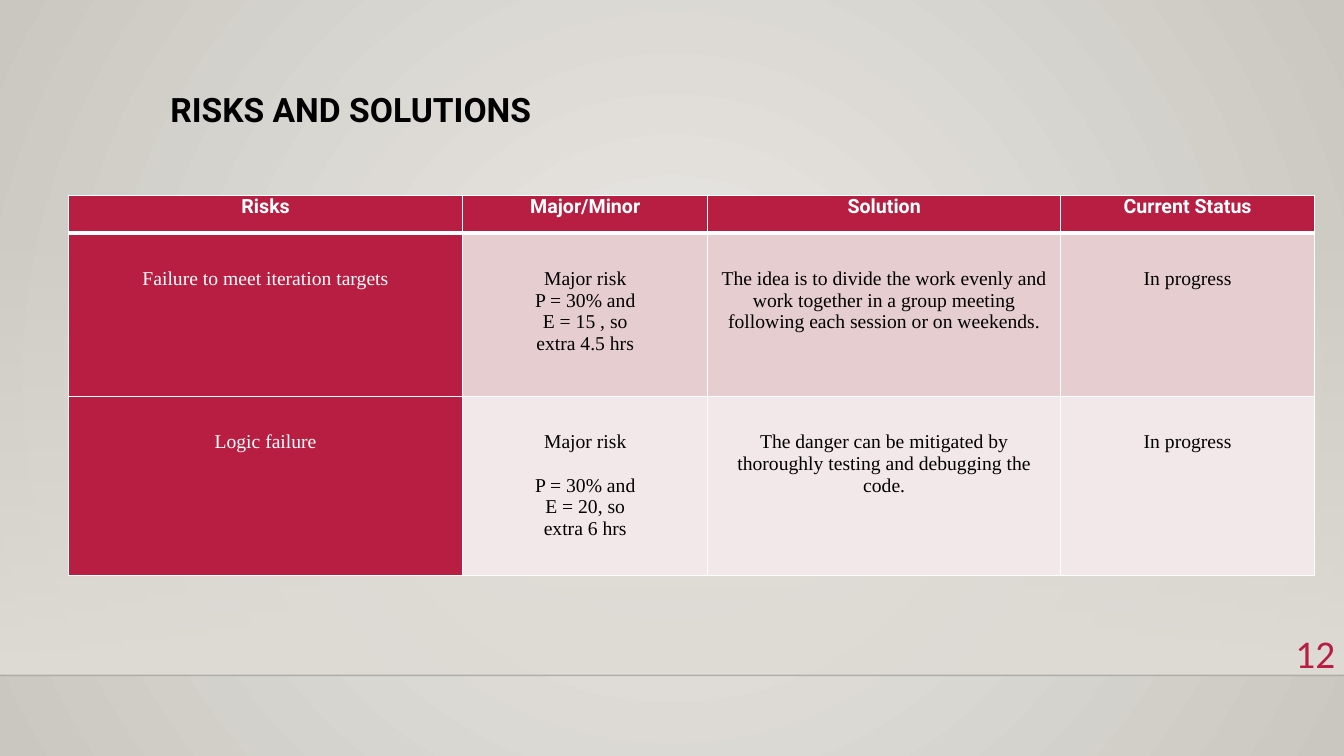
from lxml import etree
from pptx import Presentation
from pptx.dml.color import RGBColor
from pptx.enum import shapes, text
from pptx.oxml import ns
from pptx.util import Inches, Pt

TITLE = "RISKS AND SOLUTIONS"
PAGE = "12"
HEADER = ["Risks", "Major/Minor", "Solution", "Current Status"]
RISKS = [
    ["Failure to meet iteration targets",
     "Major risk\nP = 30% and\nE = 15 , so\nextra 4.5 hrs",
     "The idea is to divide the work evenly and work together in a group meeting "
     "following each session or on weekends.",
     "In progress"],
    ["Logic failure",
     "Major risk\nP = 30% and\nE = 20, so\nextra 6 hrs",
     "The danger can be mitigated by thoroughly testing and debugging the code.",
     "In progress"],
]
COLS = [3.91, 2.43, 3.5, 2.52]
ROWS = [0.37, 1.62, 1.78]
RISK_GAPS = [0, 15.5]

CRIMSON = RGBColor(0xB7, 0x1E, 0x42)
PINK = RGBColor(0xE6, 0xCD, 0xCF)
PALE = RGBColor(0xF3, 0xE8, 0xE9)
WHITE = RGBColor(0xFF, 0xFF, 0xFF)
BLACK = RGBColor(0x00, 0x00, 0x00)
RULE = RGBColor(0x00, 0x00, 0x01)
LIGHT = RGBColor(0xEC, 0xEA, 0xE7)
DARK = RGBColor(0xCA, 0xC7, 0xC1)
SAND = RGBColor(0xDF, 0xDB, 0xD5)


def sub(parent, tag, **attrs):
    """Append an XML child with the given attributes."""
    return etree.SubElement(parent, ns.qn(tag), {k: str(v) for k, v in attrs.items()})


def write(tf, content, font="Times New Roman", size=14, color=BLACK, bold=False,
          align=text.PP_ALIGN.CENTER, spacing=None, gap=0):
    """Write one paragraph per line, with an optional gap after the first."""
    tf.word_wrap = True
    for i, line in enumerate(content.split("\n")):
        p = tf.add_paragraph() if i else tf.paragraphs[0]
        p.alignment = align
        p.line_spacing = spacing
        if i == 1 and gap:
            p.space_before = Pt(gap)
        r = p.add_run()
        r.text = line
        r.font.name, r.font.size, r.font.bold = font, Pt(size), bold
        r.font.color.rgb = color


def gradient(fill, *colors):
    """Fill with a gradient of two colours."""
    fill.gradient()
    for stop, color in zip(fill.gradient_stops, colors):
        stop.color.rgb = color


def set_borders(cell, top, bottom):
    """Draw white cell borders with the given top and bottom widths."""
    tc_pr = cell._tc.get_or_add_tcPr()
    widths = {"a:lnL": 1, "a:lnR": 1, "a:lnT": top, "a:lnB": bottom}
    for i, (tag, width) in enumerate(widths.items()):
        ln = sub(tc_pr, tag, w=Pt(width))
        sub(sub(ln, "a:solidFill"), "a:srgbClr", val=WHITE)
        tc_pr.insert(i, ln)


def add_backdrop(s):
    """Add the radial background, the fading panel and the floor line."""
    gradient(s.background.fill, LIGHT, DARK)
    lin = s.element.find(".//" + ns.qn("a:lin"))
    radial = sub(lin.getparent(), "a:path", path="circle")
    sub(radial, "a:fillToRect", l=50000, t=50000, r=50000, b=50000)
    lin.getparent().replace(lin, radial)

    panel = s.shapes.add_shape(shapes.MSO_SHAPE.RECTANGLE, 0, Inches(2.21),
                               Inches(13.33), Inches(4.49))
    panel.shadow.inherit = False
    panel.line.fill.background()
    gradient(panel.fill, SAND, SAND)
    panel.fill.gradient_angle = 270
    sub(panel.element.find(".//" + ns.qn("a:srgbClr")), "a:alpha", val=0)

    floor = s.shapes.add_connector(shapes.MSO_CONNECTOR.STRAIGHT, 0, Inches(6.7),
                                   Inches(13.33), Inches(6.7))
    floor.line.width = Pt(1)
    floor.line.color.rgb = RULE
    sub(floor.element.find(".//" + ns.qn("a:srgbClr")), "a:alpha", val=20000)
    sub(floor.element.spPr, "a:effectLst")


def add_risk_table(s):
    """Add the table of risks."""
    table = s.shapes.add_table(len(ROWS), len(COLS), Inches(0.68), Inches(1.94),
                               Inches(sum(COLS)), Inches(sum(ROWS))).table
    for col, width in zip(table.columns, COLS):
        col.width = Inches(width)
    for row, height in zip(table.rows, ROWS):
        row.height = Inches(height)
    for i, values in enumerate([HEADER] + RISKS):
        for j, value in enumerate(values):
            cell = table.cell(i, j)
            strong = i == 0 or j == 0
            cell.fill.solid()
            cell.fill.fore_color.rgb = CRIMSON if strong else [PINK, PALE][i - 1]
            set_borders(cell, 3 if i == 1 else 1, 3 if i == 0 else 1)
            color = WHITE if strong else BLACK
            if i == 0:
                cell.margin_left = cell.margin_right = Inches(0.06)
                cell.margin_top = cell.margin_bottom = 0
                write(cell.text_frame, value, font="Roboto", color=color, bold=True)
            else:
                cell.margin_top = Inches(0.35)
                write(cell.text_frame, value, color=color, gap=RISK_GAPS[i - 1])


def main():
    """Build the slide and save it."""
    prs = Presentation()
    prs.slide_width, prs.slide_height = Inches(13.33), Inches(7.5)
    s = prs.slides.add_slide(prs.slide_layouts[5])
    add_backdrop(s)

    title = s.shapes.title
    title.left, title.top = Inches(1.59), Inches(0.88)
    title.width, title.height = Inches(10.5), Inches(1.15)
    title.text_frame.vertical_anchor = text.MSO_ANCHOR.TOP
    write(title.text_frame, TITLE, font="Roboto", size=24, bold=True,
          align=text.PP_ALIGN.LEFT, spacing=0.9)

    add_risk_table(s)
    number = s.shapes.add_textbox(Inches(12.45), Inches(6.19), Inches(0.89), Inches(0.55))
    write(number.text_frame, PAGE, font="Calibri", size=28, color=CRIMSON,
          align=text.PP_ALIGN.RIGHT)
    prs.save("out.pptx")


if __name__ == "__main__":
    main()
